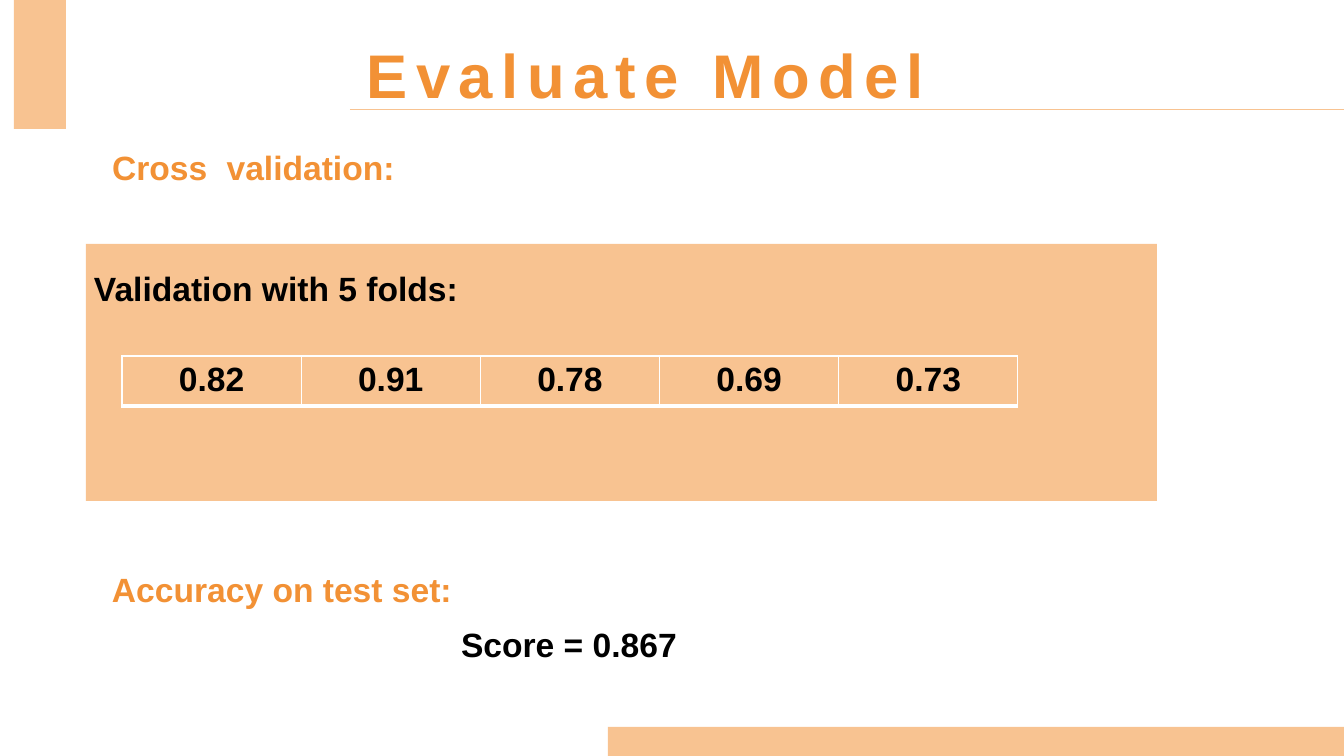
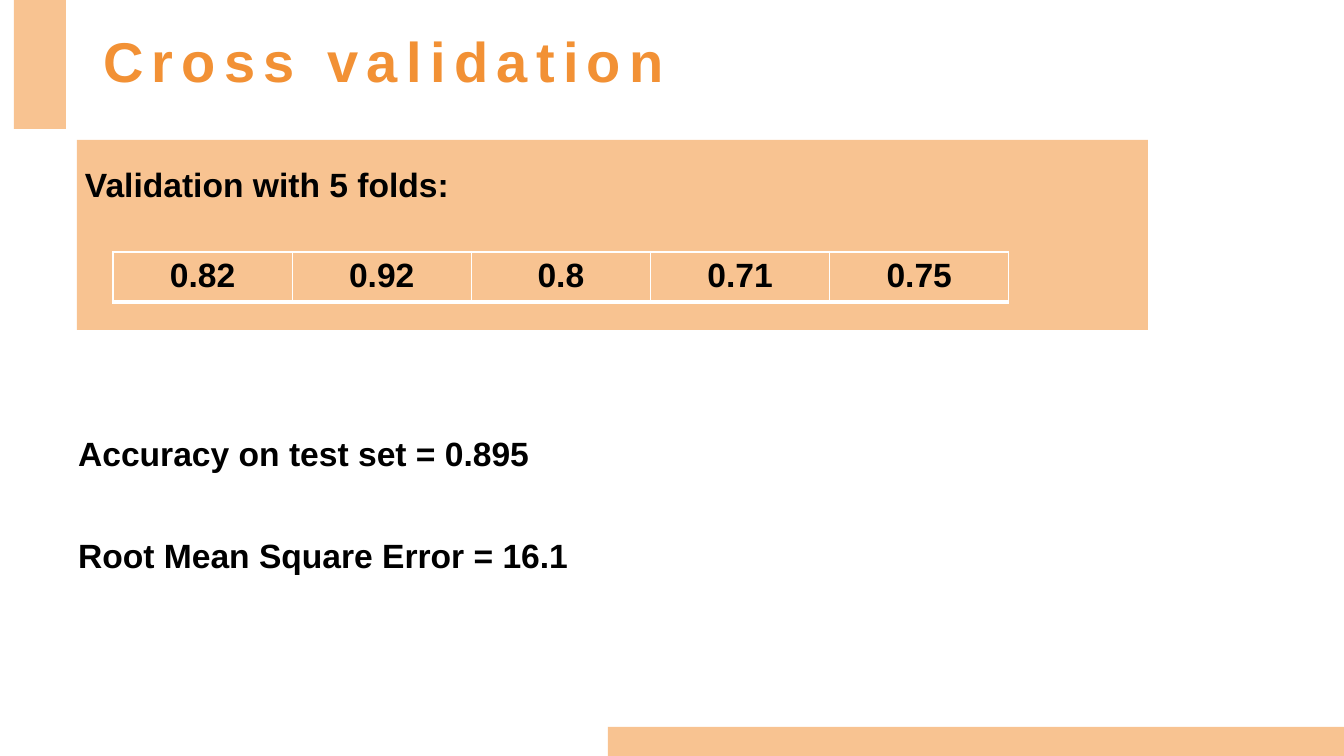
from dataclasses import dataclass

from lxml.etree import SubElement
from pptx import Presentation
from pptx.dml.color import RGBColor
from pptx.enum.shapes import MSO_CONNECTOR, MSO_SHAPE
from pptx.enum.text import MSO_ANCHOR, MSO_AUTO_SIZE, PP_ALIGN
from pptx.oxml.ns import qn
from pptx.util import Pt

PX = 914400 / 100.8


@dataclass(frozen=True)
class Theme:
    font: str = "Arial"
    accent: RGBColor = RGBColor(0xF2, 0x91, 0x35)
    band: RGBColor = RGBColor(0xF8, 0xC3, 0x91)
    ink: RGBColor = RGBColor(0, 0, 0)
    text_size: int = 24
    space_size: int = 28
    tracking: int = 6
    line_spacing: float = 0.9


theme = Theme()


def px(*lengths):
    """Turn pixel lengths into EMU."""
    return [round(length * PX) for length in lengths]


def write(frame, *paragraphs, size=theme.text_size, color=theme.ink, tracking=0,
          align=PP_ALIGN.LEFT, anchor=MSO_ANCHOR.TOP, spacing=1.0, before=0):
    """Write paragraphs; each is a string or a list of (text, size, tracking)."""
    frame.word_wrap = True
    frame.auto_size = MSO_AUTO_SIZE.NONE
    frame.vertical_anchor = anchor
    for index, content in enumerate(paragraphs):
        para = frame.add_paragraph() if index else frame.paragraphs[0]
        para.alignment = align
        para.line_spacing = spacing
        para.space_before = Pt(before if index else 0)
        properties = para._p.get_or_add_pPr()
        properties.set("marL", "0")
        properties.set("indent", "0")
        SubElement(properties, qn("a:buNone"))
        spans = [(content, size, tracking)] if isinstance(content, str) else content
        for text, span_size, span_tracking in spans:
            span = para.add_run()
            span.text = text
            span.font.name = theme.font
            span.font.size = Pt(span_size)
            span.font.bold = True
            span.font.color.rgb = color
            if span_tracking:
                span._r.get_or_add_rPr().set("spc", str(span_tracking * 100))


deck = Presentation()
deck.slide_width, deck.slide_height = px(1344, 756)

bands = [(14, 0, 52, 129), (608, 727, 736, 29)]
body_style = dict(anchor=MSO_ANCHOR.MIDDLE, spacing=theme.line_spacing)
cell_borders = {"a:lnL": 1, "a:lnR": 1, "a:lnT": 1, "a:lnB": 3}

pages = [
    dict(
        title="Evaluate Model", title_box=(350, 32, 592, 85),
        title_style=dict(size=44, align=PP_ALIGN.CENTER),
        panel=(86, 244, 1071, 257),
        scores=["0.82", "0.91", "0.78", "0.69", "0.73"],
        body_box=(102, 128, 1007, 80), body_style=dict(color=theme.accent),
        body=[[("Cross", theme.text_size, 0),
               (" ", theme.space_size, theme.tracking),
               ("validation:", theme.text_size, 0)]],
    ),
    dict(
        title="Cross validation", title_box=(93, 24, 1007, 80),
        title_style=dict(size=40, **body_style),
        panel=(77, 140, 1071, 190),
        scores=["0.82", "0.92", "0.8", "0.71", "0.75"],
        body_box=(68, 416, 1222, 182), body_style=dict(before=47),
        body=["Accuracy on test set = 0.895", "Root Mean Square Error = 16.1"],
    ),
]

for content in pages:
    page = deck.slides.add_slide(deck.slide_layouts[1])

    # Title and body
    title, body = page.shapes.title, page.placeholders[1]
    for box, place in ((title, content["title_box"]), (body, content["body_box"])):
        box.left, box.top, box.width, box.height = px(*place)
    write(title.text_frame, content["title"], color=theme.accent,
          tracking=theme.tracking, **content["title_style"])
    write(body.text_frame, *content["body"], **body_style, **content["body_style"])

    # Bands and validation panel
    for place in bands + [content["panel"]]:
        panel = page.shapes.add_shape(MSO_SHAPE.RECTANGLE, *px(*place))
        panel.shadow.inherit = False
        panel.fill.solid()
        panel.fill.fore_color.rgb = theme.band
        panel.line.fill.background()
    panel.text_frame.margin_left, panel.text_frame.margin_top = px(8, 24)
    write(panel.text_frame, "Validation with 5 folds:")

    # Fold scores
    scores = content["scores"]
    left, top = content["panel"][:2]
    table = page.shapes.add_table(
        1, len(scores), *px(left + 36, top + 112, 896, 50)).table
    table.first_row = table.horz_banding = False
    for cell, score in zip(table.iter_cells(), scores):
        properties = cell._tc.get_or_add_tcPr()
        for side, width in cell_borders.items():
            border = SubElement(properties, qn(side), w=str(Pt(width)))
            fill = SubElement(border, qn("a:solidFill"))
            SubElement(fill, qn("a:srgbClr"), val="FFFFFF")
        cell.fill.solid()
        cell.fill.fore_color.rgb = theme.band
        write(cell.text_frame, score, align=PP_ALIGN.CENTER)

# Title rule and test result on the first page
page = deck.slides[0]
start_x, end_x, rule_y = px(350, 1344, 109)
rule = page.shapes.add_connector(
    MSO_CONNECTOR.STRAIGHT, start_x, rule_y, end_x, rule_y)
rule.line.color.rgb = theme.band
rule.line.width = Pt(0.5)
SubElement(rule._element.spPr, qn("a:effectLst"))

heading = page.shapes.add_textbox(*px(102, 552, 1007, 80))
write(heading.text_frame, "Accuracy on test set:", color=theme.accent, **body_style)
result = page.shapes.add_textbox(*px(227, 619, 684, 50))
write(result.text_frame, "Score = 0.867", align=PP_ALIGN.CENTER)

deck.save("out.pptx")
